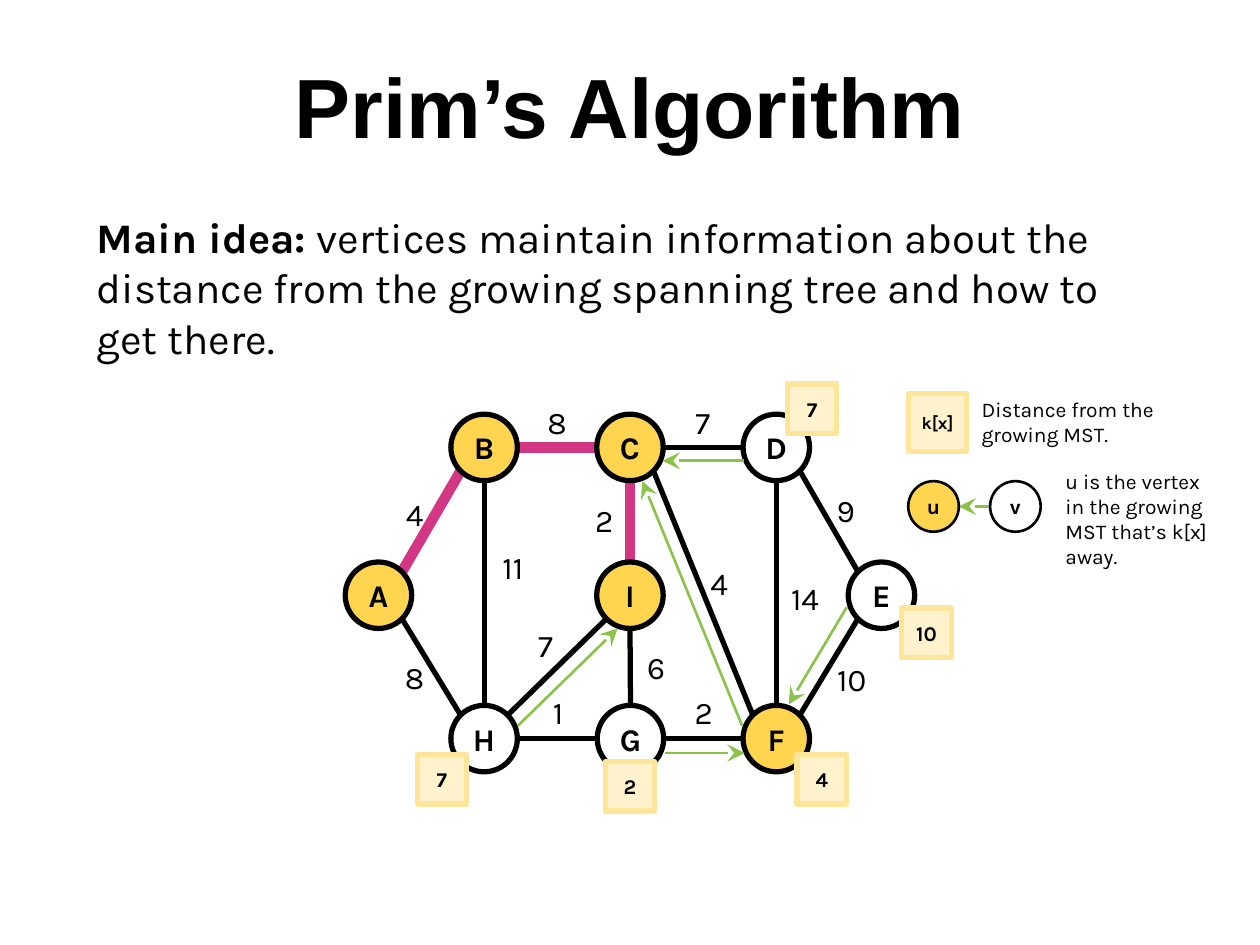
from math import sqrt

from lxml.etree import SubElement
from pptx import Presentation
from pptx.dml.color import RGBColor
from pptx.enum.shapes import MSO_CONNECTOR, MSO_SHAPE
from pptx.enum.text import MSO_ANCHOR, PP_ALIGN
from pptx.oxml.ns import qn
from pptx.util import Cm, Pt

COLORS = {
    "ink": "000000",
    "tree": "D33682",
    "arrow": "8BC34A",
    "visited": "FFD54F",
    "key_fill": "FFF2CC",
    "key_line": "FFE599",
}
BODY_FONT, TITLE_FONT = "Karla", "Arial"

TITLE = "Prim’s Algorithm"
MAIN_IDEA = [
    ("Main idea: ", True),
    ("vertices maintain information about the distance from the growing "
     "spanning tree and how to get there.", False),
]
KEY_NOTE = "Distance from the growing MST."
PARENT_NOTE = "u is the vertex in the growing MST that’s k[x] away."

# Graph: vertex centres and label centres, in cm
DIAMETER = 1.34
WEIGHT_SIZE = 1.2
VERTICES = {
    "A": (7.63, 12), "B": (9.76, 9.02), "C": (12.7, 9.02),
    "D": (15.65, 9.02), "E": (17.77, 12), "F": (15.65, 14.89),
    "G": (12.71, 14.89), "H": (9.76, 14.89), "I": (12.7, 12),
}
IN_TREE = "ABCFI"
# start, side it leaves, end, side it enters, weight, weight centre, tree edge
EDGES = [
    ("A", "NE", "B", "SW", "4", (8.36, 10.36), True),
    ("B", "E", "C", "W", "8", (11.23, 8.51), True),
    ("C", "S", "I", "N", "2", (12.18, 10.49), True),
    ("C", "E", "D", "W", "7", (14.17, 8.51), False),
    ("H", "E", "G", "W", "1", (11.25, 14.35), False),
    ("G", "E", "F", "W", "2", (14.19, 14.35), False),
    ("F", "NE", "E", "SW", "10", (17.17, 13.69), False),
    ("E", "NW", "D", "SE", "9", (17.05, 10.29), False),
    ("H", "NW", "A", "SE", "8", (8.36, 13.64), False),
    ("H", "N", "B", "S", "11", (10.34, 11.43), False),
    ("F", "N", "D", "S", "14", (16.23, 12.05), False),
    ("F", "NW", "C", "SE", "4", (14.5, 11.76), False),
    ("G", "N", "I", "S", "6", (13.23, 13.44), False),
    ("H", "NE", "I", "SW", "7", (11, 13), False),
]
KEYS = [
    ("7", (8.91, 15.71)), ("7", (16.37, 8.24)), ("2", (12.7, 15.85)),
    ("4", (16.57, 15.71)), ("10", (18.68, 12.76)),
]
PARENT_ARROWS = [
    ((14.96, 14.63), (12.95, 9.7)),   # F to C
    ((14.99, 9.29), (13.36, 9.29)),   # D to C
    ((10.44, 14.63), (12.45, 12.67)), # H to I
    ((13.41, 15.18), (15.01, 15.18)), # G to F
    ((17.07, 12.24), (15.9, 14.2)),   # E to F
    ((19.96, 10.21), (19.33, 10.21)), # v to u
]

presentation = Presentation()
presentation.slide_width, presentation.slide_height = Cm(25.4), Cm(19.05)
slide = presentation.slides.add_slide(presentation.slide_layouts[6])


def color(name):
    return RGBColor.from_string(COLORS[name])


def write(shape, runs, size, font=BODY_FONT, align=PP_ALIGN.LEFT,
          anchor=MSO_ANCHOR.TOP, wrap=True):
    frame = shape.text_frame
    frame.word_wrap, frame.vertical_anchor = wrap, anchor
    frame.margin_left = frame.margin_right = Cm(0.25)
    frame.margin_top = frame.margin_bottom = Cm(0.25)
    paragraph = frame.paragraphs[0]
    paragraph.alignment = align
    for text, bold in runs:
        run = paragraph.add_run()
        run.text = text
        run.font.name, run.font.size, run.font.bold = font, Pt(size), bold
        run.font.color.rgb = color("ink")


def add_text(left, top, width, height, runs, size, **style):
    box = slide.shapes.add_textbox(Cm(left), Cm(top), Cm(width), Cm(height))
    write(box, runs, size, **style)


def add_label(shape, text, size, bold=True):
    write(shape, [(text, bold)], size, align=PP_ALIGN.CENTER,
          anchor=MSO_ANCHOR.MIDDLE, wrap=False)


def centred(center, size):
    x, y = center
    return Cm(x - size / 2), Cm(y - size / 2), Cm(size), Cm(size)


def add_node(kind, center, size, text, text_size, fill, line, line_width):
    shape = slide.shapes.add_shape(kind, *centred(center, size))
    shape.shadow.inherit = False
    if fill:
        shape.fill.solid()
        shape.fill.fore_color.rgb = color(fill)
    else:
        shape.fill.background()
    shape.line.color.rgb, shape.line.width = color(line), Pt(line_width)
    SubElement(shape.line._get_or_add_ln(), qn("a:round"))
    add_label(shape, text, text_size)


def add_vertex(name, center, size, text_size, visited, line_width):
    add_node(MSO_SHAPE.OVAL, center, size, name, text_size,
             "visited" if visited else None, "ink", line_width)


def add_key(text, center, size=1, text_size=12):
    add_node(MSO_SHAPE.RECTANGLE, center, size, text, text_size,
             "key_fill", "key_line", 3)


def add_line(start, end, line_color, width, arrow=False):
    points = [Cm(value) for value in (*start, *end)]
    line = slide.shapes.add_connector(MSO_CONNECTOR.STRAIGHT, *points)
    line.line.color.rgb, line.line.width = color(line_color), Pt(width)
    if arrow:
        SubElement(line.line._get_or_add_ln(), qn("a:tailEnd"),
                   type="stealth", w="lg", len="lg")
    SubElement(line._element.spPr, qn("a:effectLst"))


def rim(name, side):
    """Point on a vertex's circle in a compass direction."""
    x, y = VERTICES[name]
    reach = DIAMETER / 2 / sqrt(len(side))
    return (x + reach * (("E" in side) - ("W" in side)),
            y + reach * (("S" in side) - ("N" in side)))


# Title and main idea
add_text(1.7, 4.01, 22.02, 15.04, MAIN_IDEA, 24)
add_text(0, 0.84, 25.4, 3.18, [(TITLE, True)], 48,
         font=TITLE_FONT, align=PP_ALIGN.CENTER)

# Weighted edges, then the vertices over their ends
for start, leave, end, enter, weight, center, in_tree in EDGES:
    add_line(rim(start, leave), rim(end, enter),
             "tree" if in_tree else "ink", 6 if in_tree else 3)
    weight_box = slide.shapes.add_textbox(*centred(center, WEIGHT_SIZE))
    add_label(weight_box, weight, 18, bold=False)
for name, center in VERTICES.items():
    add_vertex(name, center, DIAMETER, 18, name in IN_TREE, 3)

# Distances and parent arrows
for text, center in KEYS:
    add_key(text, center)
for start, end in PARENT_ARROWS:
    add_line(start, end, "arrow", 1.5, arrow=True)

# Legend
add_key("k[x]", (18.9, 8.52), 1.17, 10)
add_text(19.54, 7.75, 4.17, 1.55, [(KEY_NOTE, False)], 12)
add_vertex("u", (18.82, 10.21), 1.02, 12, True, 1.5)
add_vertex("v", (20.47, 10.21), 1.02, 12, False, 1.5)
add_text(21.23, 9.19, 3.53, 2.06, [(PARENT_NOTE, False)], 12)

presentation.save("out.pptx")
